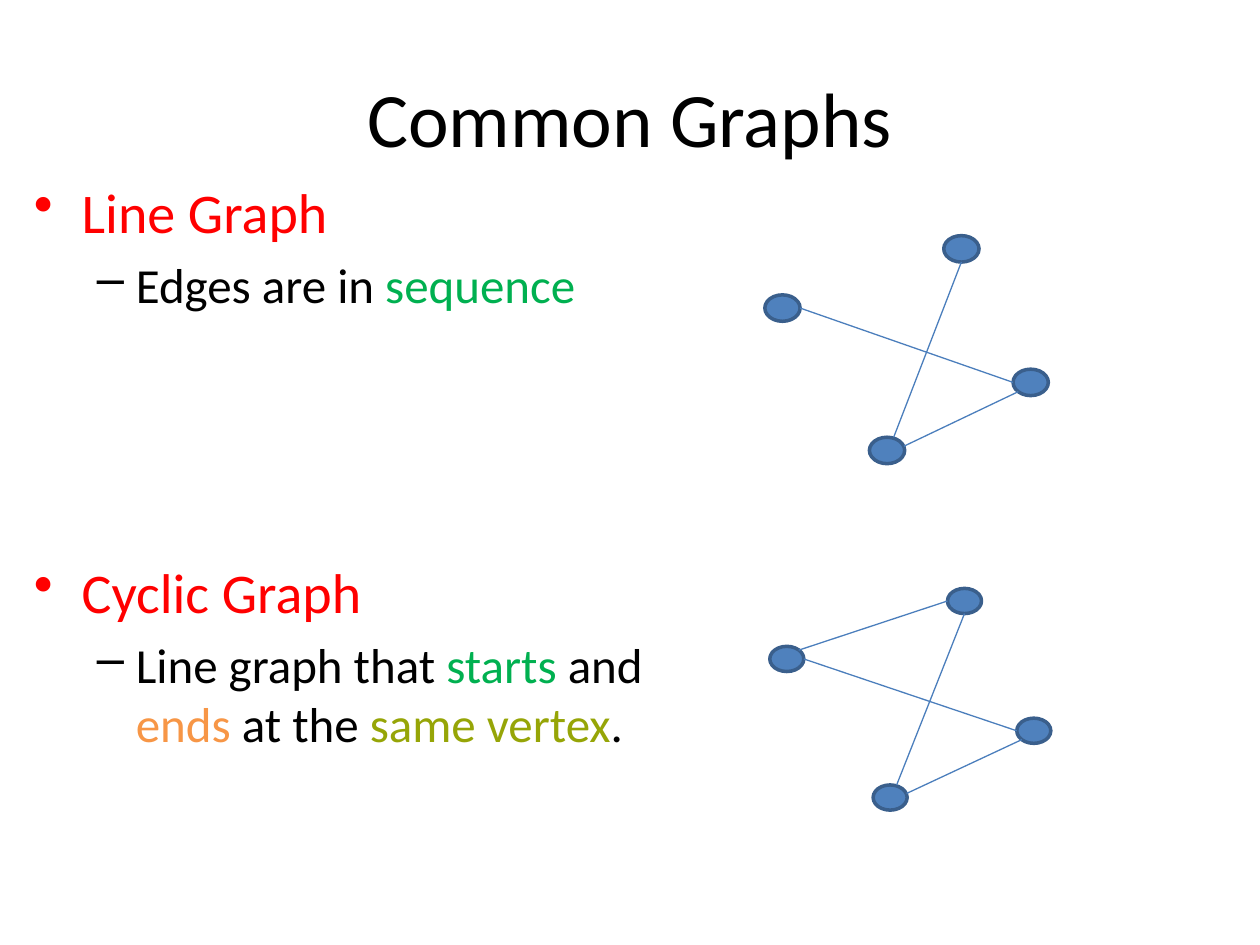
import pptx
import pptx.dml.color
import pptx.enum.shapes
import pptx.enum.text
import pptx.oxml
import pptx.oxml.ns
import pptx.util
from pptx.util import Inches

BLACK, RED, GREEN, ORANGE, OLIVE = "000000", "FF0000", "00B050", "F79646", "96A507"
NODE_FILL, NODE_LINE, EDGE_LINE = "4F81BD", "3A5F8C", "4B7EBC"

# Bullet, left margin, hanging indent, text size and space before, by level
LEVELS = [
    {"bullet": "•", "margin": 0.38, "hang": 0.38, "size": 32, "before": 139.5},
    {"bullet": "–", "margin": 0.81, "hang": 0.31, "size": 28, "before": 5.6},
]
POINTS = [
    (0, [("Line Graph", RED)]),
    (1, [("Edges are in ", BLACK), ("sequence", GREEN)]),
    (0, [("Cyclic Graph", RED)]),
    (1, [("Line graph that ", BLACK), ("starts", GREEN), (" and ", BLACK),
         ("ends", ORANGE), (" at the ", BLACK), ("same vertex", OLIVE), (".", BLACK)]),
]

# Places where an edge meets a node, as fractions of the node's width and height
PORTS = {
    "left": (0, 0.5), "right": (1, 0.5), "bottom": (0.5, 1), "top": (0.69, 0),
    "lower left": (0.15, 0.85), "upper right": (0.85, 0.15), "side": (0.98, 0.34),
}
LINE_EDGES = [
    ("south", "top", "north", "bottom"),
    ("west", "right", "east", "left"),
    ("east", "lower left", "south", "side"),
]
CYCLE_EDGES = LINE_EDGES + [("north", "left", "west", "upper right")]
LINE_NODES = {"west": (6.07, 2.34), "east": (8.04, 2.93),
              "south": (6.9, 3.47), "north": (7.49, 1.87)}
CYCLE_NODES = {"west": (6.11, 5.13), "east": (8.07, 5.7),
               "south": (6.93, 6.23), "north": (7.52, 4.67)}


def color(value):
    return pptx.dml.color.RGBColor.from_string(value)


def set_values(target, values):
    for name, value in values.items():
        setattr(target, name, value)


class SlideBuilder:
    font_name = "Calibri"

    def __init__(self, slide):
        self.slide = slide

    def text_box(self, left, top, width, height, anchor):
        frame = self.slide.shapes.add_textbox(
            Inches(left), Inches(top), Inches(width), Inches(height)).text_frame
        set_values(frame, {"word_wrap": True, "vertical_anchor": anchor})
        return frame

    def run(self, paragraph, text, size, text_color):
        run = paragraph.add_run()
        run.text = text
        set_values(run.font, {"name": self.font_name, "size": pptx.util.Pt(size)})
        run.font.color.rgb = color(text_color)

    def title(self, text):
        frame = self.text_box(0.5, 0.3, 9, 1.25, pptx.enum.text.MSO_ANCHOR.MIDDLE)
        paragraph = frame.paragraphs[0]
        paragraph.alignment = pptx.enum.text.PP_ALIGN.CENTER
        self.run(paragraph, text, 44, BLACK)

    def bullets(self, points):
        frame = self.text_box(0.17, 1.36, 5.25, 5.72, pptx.enum.text.MSO_ANCHOR.TOP)
        for index, (level, runs) in enumerate(points):
            style = LEVELS[level]
            paragraph = frame.add_paragraph() if index else frame.paragraphs[0]
            paragraph.level = level
            properties = paragraph._p.get_or_add_pPr()
            properties.set("marL", str(Inches(style["margin"])))
            properties.set("indent", str(-Inches(style["hang"])))
            bullet = pptx.oxml.parse_xml(
                f'<a:buChar {pptx.oxml.ns.nsdecls("a")} char="{style["bullet"]}"/>')
            properties.append(bullet)
            paragraph.space_before = pptx.util.Pt(style["before"] if index else 0)
            for text, text_color in runs:
                self.run(paragraph, text, style["size"], text_color)

    def node(self, left, top, width, height):
        shape = self.slide.shapes.add_shape(
            pptx.enum.shapes.MSO_SHAPE.OVAL,
            Inches(left), Inches(top), Inches(width), Inches(height))
        shape.shadow.inherit = False
        shape.fill.solid()
        shape.fill.fore_color.rgb = color(NODE_FILL)
        shape.line.color.rgb = color(NODE_LINE)
        shape.line.width = pptx.util.Pt(2)

    def edge(self, start, end):
        connector = self.slide.shapes.add_connector(
            pptx.enum.shapes.MSO_CONNECTOR.STRAIGHT,
            *(Inches(value) for value in start + end))
        connector.line.color.rgb = color(EDGE_LINE)
        connector.line.width = pptx.util.Pt(0.75)
        connector._element.spPr.append(pptx.oxml.parse_xml(
            f'<a:effectLst {pptx.oxml.ns.nsdecls("a")}/>'))

    def graph(self, nodes, edges, width, height):
        def port(node, side):
            (left, top), (across, down) = nodes[node], PORTS[side]
            return left + across * width, top + down * height

        for left, top in nodes.values():
            self.node(left, top, width, height)
        for first, first_side, second, second_side in edges:
            self.edge(port(first, first_side), port(second, second_side))


def main():
    presentation = pptx.Presentation()
    set_values(presentation, {"slide_width": Inches(10), "slide_height": Inches(7.5)})
    builder = SlideBuilder(presentation.slides.add_slide(presentation.slide_layouts[6]))
    builder.title("Common Graphs")
    builder.bullets(POINTS)
    builder.graph(LINE_NODES, LINE_EDGES, 0.28, 0.21)
    builder.graph(CYCLE_NODES, CYCLE_EDGES, 0.27, 0.2)
    presentation.save("out.pptx")


if __name__ == "__main__":
    main()
